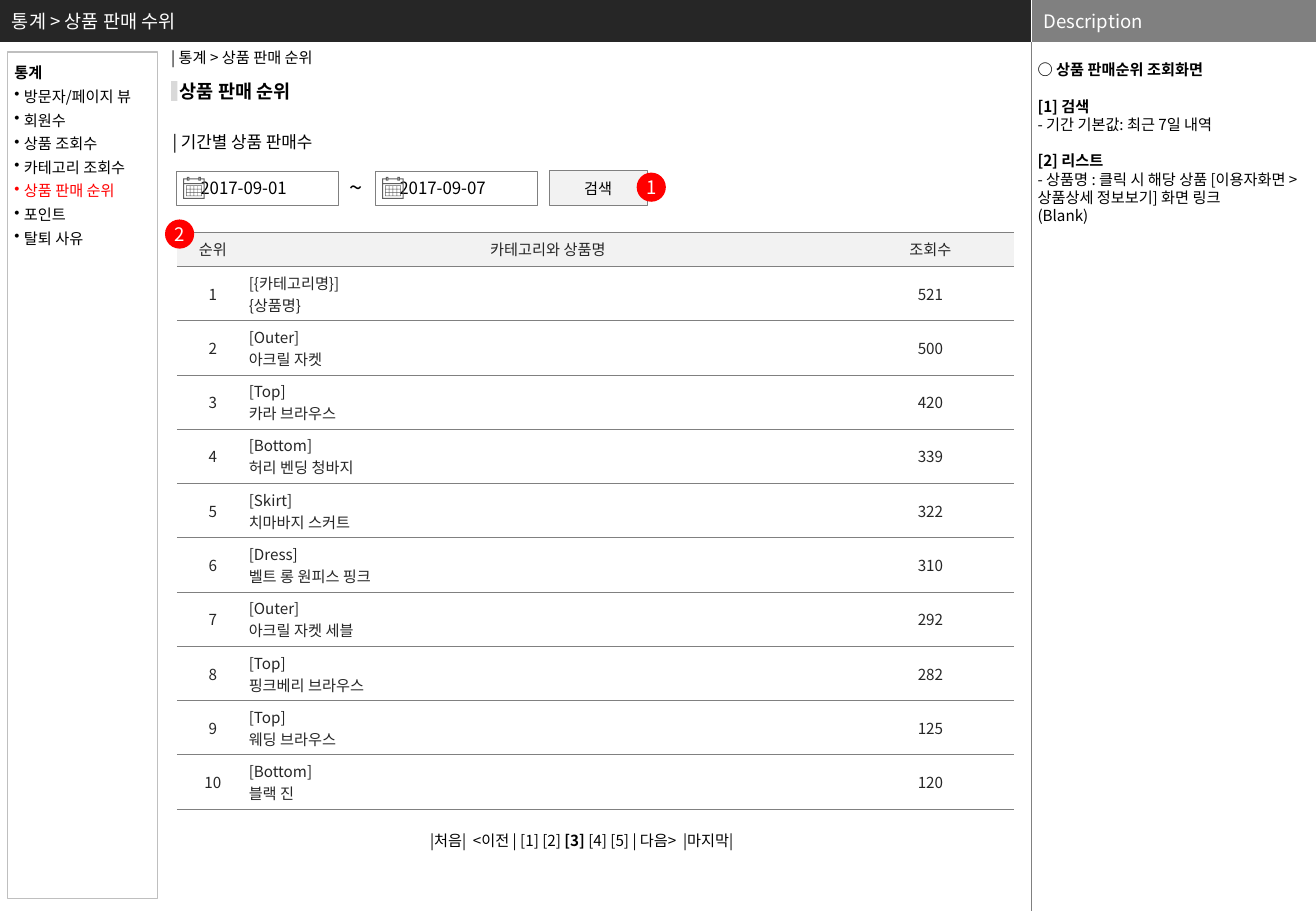
from lxml import etree
from pptx import Presentation
from pptx import util as u
from pptx.dml.color import RGBColor
from pptx.enum import shapes, text
from pptx.oxml import ns

Cm, Pt = u.Cm, u.Pt
FONT = "Noto Sans CJK KR"
BLACK = RGBColor(0x00, 0x00, 0x00)
CHARCOAL = RGBColor(0x26, 0x26, 0x26)
ICON_GRAY = RGBColor(0x5F, 0x5F, 0x5F)
GRAY = RGBColor(0x80, 0x80, 0x80)
SILVER = RGBColor(0xBF, 0xBF, 0xBF)
ACCENT_GRAY = RGBColor(0xD9, 0xD9, 0xD9)
PALE = RGBColor(0xF2, 0xF2, 0xF2)
WHITE = RGBColor(0xFF, 0xFF, 0xFF)
RED = RGBColor(0xFF, 0x00, 0x00)
LEFT, CENTER = text.PP_ALIGN.LEFT, text.PP_ALIGN.CENTER
RECTANGLE, OVAL = shapes.MSO_SHAPE.RECTANGLE, shapes.MSO_SHAPE.OVAL

MENU = ["방문자/페이지 뷰", "회원수", "상품 조회수", "카테고리 조회수",
        "상품 판매 순위", "포인트", "탈퇴 사유"]
CURRENT_MENU = "상품 판매 순위"
DESCRIPTION = [
    ["○ 상품 판매순위 조회화면"],
    ["[1] 검색", "- 기간 기본값: 최근 7일 내역"],
    ["[2] 리스트",
     "- 상품명 : 클릭 시 해당 상품 [이용자화면 >상품상세 정보보기] 화면 링크",
     "(Blank)"],
]
HEADINGS = ["순위", "카테고리와 상품명", "조회수"]
PRODUCTS = [
    ("{카테고리명}", "{상품명}", 521),
    ("Outer", "아크릴 자켓", 500),
    ("Top", "카라 브라우스", 420),
    ("Bottom", "허리 벤딩 청바지", 339),
    ("Skirt", "치마바지 스커트", 322),
    ("Dress", "벨트 롱 원피스 핑크", 310),
    ("Outer", "아크릴 자켓 세블", 292),
    ("Top", "핑크베리 브라우스", 282),
    ("Top", "웨딩 브라우스", 125),
    ("Bottom", "블랙 진", 120),
]


def style_run(run, size, color, bold=False):
    run.font.size = Pt(size)
    run.font.bold = bold
    run.font.color.rgb = color
    run.font.name = FONT
    east_asian = etree.SubElement(run._r.get_or_add_rPr(), ns.qn("a:ea"))
    east_asian.set("typeface", FONT)


def write(frame, content, size=9, color=BLACK, bold=False, align=LEFT):
    frame.text = content
    for paragraph in frame.paragraphs:
        paragraph.alignment = align
        for run in paragraph.runs:
            style_run(run, size, color, bold)


def set_insets(frame, left, top, right, bottom):
    frame.margin_left, frame.margin_top = Cm(left), Cm(top)
    frame.margin_right, frame.margin_bottom = Cm(right), Cm(bottom)


def add_box(slide, kind, left, top, width, height, fill=None, line=None, line_width=0.5):
    shape = slide.shapes.add_shape(kind, Cm(left), Cm(top), Cm(width), Cm(height))
    shape.shadow.inherit = False
    if fill is None:
        shape.fill.background()
    else:
        shape.fill.solid()
        shape.fill.fore_color.rgb = fill
    if line is None:
        shape.line.fill.background()
    else:
        shape.line.color.rgb = line
        shape.line.width = Pt(line_width)
    shape.text_frame.vertical_anchor = text.MSO_ANCHOR.MIDDLE
    return shape


def add_label(slide, left, top, width, height, content, size=9, bold=False, padded=True):
    label = slide.shapes.add_textbox(Cm(left), Cm(top), Cm(width), Cm(height))
    frame = label.text_frame
    frame.word_wrap = False
    frame.auto_size = text.MSO_AUTO_SIZE.SHAPE_TO_FIT_TEXT
    if not padded:
        set_insets(frame, 0, 0, 0, 0)
    write(frame, content, size, bold=bold)
    return label


def add_rule(slide, x, top, bottom, color):
    rule = slide.shapes.add_connector(shapes.MSO_CONNECTOR.STRAIGHT,
                                      Cm(x), Cm(top), Cm(x), Cm(bottom))
    rule.line.color.rgb = color
    rule.line.width = Pt(0.25)
    etree.SubElement(rule._element.spPr, ns.qn("a:effectLst"))


def add_header(slide, left, width, fill, title):
    bar = add_box(slide, RECTANGLE, left, 0, width, 0.88, fill)
    write(bar.text_frame, title, 11, WHITE)


def add_description(slide):
    box = slide.shapes.add_textbox(Cm(21.59), Cm(1.27), Cm(5.94), Cm(17.78))
    frame = box.text_frame
    frame.word_wrap = True
    set_insets(frame, 0.1, 0, 0.1, 0)
    write(frame, "\n".join("\n".join(group) for group in DESCRIPTION))
    for paragraph in frame.paragraphs:
        paragraph.line_spacing = Pt(10.8)
    position = 0
    for group in DESCRIPTION:
        heading = frame.paragraphs[position]
        heading.runs[0].font.bold = True
        if position:
            heading.space_before = Pt(10.8)
        position += len(group)


def add_menu(slide):
    panel = add_box(slide, RECTANGLE, 0.15, 1.09, 3.15, 17.7, line=SILVER, line_width=0.75)
    frame = panel.text_frame
    frame.vertical_anchor = text.MSO_ANCHOR.TOP
    set_insets(frame, 0.15, 0.13, 0, 0.13)
    write(frame, "\n".join(["통계"] + MENU))
    for paragraph in frame.paragraphs:
        paragraph.line_spacing = Pt(14)
    title, *items = frame.paragraphs
    title.runs[0].font.bold = True
    for item in items:
        properties = item._p.get_or_add_pPr()
        properties.set("marL", str(Cm(0.2)))
        properties.set("indent", str(-Cm(0.2)))
        etree.SubElement(properties, ns.qn("a:buChar")).set("char", "•")
        if item.text == CURRENT_MENU:
            item.runs[0].font.color.rgb = RED


def rectangle_points(left, top, right, bottom):
    return [(left, top), (right, top), (right, bottom), (left, bottom)]


def add_calendar(slide, left, top):
    outline = [(0, 3), (8, 3), (8, 0), (13, 0), (13, 3), (32, 3), (32, 0),
               (37, 0), (37, 3), (45, 3), (45, 46), (0, 46)]
    heading = [(2, 5), (8, 5), (8, 8), (13, 8), (13, 5), (32, 5), (32, 8),
               (37, 8), (37, 5), (43, 5), (43, 13), (2, 13)]
    contours = [heading, rectangle_points(2, 15, 43, 44), rectangle_points(6, 18, 39, 40)]
    contours += [rectangle_points(x, 2, x + 1, 6) for x in (10, 34)]
    contours += [rectangle_points(x, y, x + 7, y + 6)
                 for y in range(19, 34, 7) for x in range(7, 32, 8)]
    builder = slide.shapes.build_freeform(*outline[0], scale=Cm(0.01))
    builder.add_line_segments(outline[1:])
    for contour in contours:
        builder.move_to(*contour[0])
        builder.add_line_segments(contour[1:])
    icon = builder.convert_to_shape(Cm(left), Cm(top))
    icon.shadow.inherit = False
    icon.fill.solid()
    icon.fill.fore_color.rgb = ICON_GRAY
    icon.line.fill.background()


def add_date_field(slide, left, date):
    field = add_box(slide, RECTANGLE, left, 3.58, 3.38, 0.71, WHITE, GRAY)
    set_insets(field.text_frame, 0.5, 0.1, 0.1, 0.1)
    write(field.text_frame, date, 10)
    add_calendar(slide, left + 0.14, 3.7)


def add_marker(slide, left, top, number):
    marker = add_box(slide, OVAL, left, top, 0.61, 0.61, RED)
    set_insets(marker.text_frame, 0, 0, 0, 0)
    write(marker.text_frame, number, 11, WHITE, align=CENTER)


def fill_cell(cell, content, fill, align):
    cell.margin_left = cell.margin_right = cell.margin_top = cell.margin_bottom = 0
    cell.vertical_anchor = text.MSO_ANCHOR.MIDDLE
    cell.fill.solid()
    cell.fill.fore_color.rgb = fill
    write(cell.text_frame, content, color=CHARCOAL, align=align)
    properties = cell._tc.get_or_add_tcPr()
    for position, side in enumerate(["lnL", "lnR", "lnT", "lnB"]):
        border = etree.Element(ns.qn(f"a:{side}"))
        properties.insert(position, border)
        if side in ("lnL", "lnR"):
            etree.SubElement(border, ns.qn("a:noFill"))
        else:
            border.set("w", str(Pt(0.5)))
            solid = etree.SubElement(border, ns.qn("a:solidFill"))
            etree.SubElement(solid, ns.qn("a:srgbClr")).set("val", str(GRAY))


def add_ranking(slide):
    rows = [HEADINGS] + [(str(rank), f"[{category}]\n{name}", str(views))
                         for rank, (category, name, views) in enumerate(PRODUCTS, 1)]
    frame = slide.shapes.add_table(len(rows), 3, Cm(3.7), Cm(4.86), Cm(17.5), Cm(12.06))
    table = frame.table
    table.first_row = table.horz_banding = False
    for column, width in zip(table.columns, (1.5, 12.5, 3.5)):
        column.width = Cm(width)
    for index, row in enumerate(rows):
        table.rows[index].height = Cm(11.35) // len(PRODUCTS) if index else Cm(0.71)
        for column, content in enumerate(row):
            align = LEFT if index and column == 1 else CENTER
            fill_cell(table.cell(index, column), content, WHITE if index else PALE, align)


def add_pagination(slide):
    label = add_label(slide, 8.74, 17.25, 7.54, 0.64, "|처음|  <이전 | [1] [2] ")
    paragraph = label.text_frame.paragraphs[0]
    for content, bold in (("[3]", True), (" [4] [5] | 다음>  |마지막|", False)):
        run = paragraph.add_run()
        run.text = content
        style_run(run, 9, BLACK, bold)


def main():
    presentation = Presentation()
    presentation.slide_width, presentation.slide_height = Cm(27.51), Cm(19.05)
    slide = presentation.slides.add_slide(presentation.slide_layouts[6])
    add_header(slide, 0, 21.56, CHARCOAL, "통계 > 상품 판매 수위")
    add_header(slide, 21.56, 5.95, GRAY, "Description")
    add_rule(slide, 21.56, 0, 0.88, WHITE)
    add_rule(slide, 21.56, 0.88, 19.05, GRAY)
    add_description(slide)
    add_label(slide, 3.33, 0.89, 3.94, 0.64, "| 통계 > 상품 판매 순위")
    add_label(slide, 3.76, 1.67, 2.62, 0.48, "상품 판매 순위", 11, bold=True, padded=False)
    add_box(slide, RECTANGLE, 3.58, 1.7, 0.13, 0.41, ACCENT_GRAY)
    add_menu(slide)
    add_label(slide, 3.61, 2.76, 3.3, 0.43, "| 기간별 상품 판매수", 10, padded=False)
    add_date_field(slide, 3.69, "2017-09-01")
    add_date_field(slide, 7.85, "2017-09-07")
    add_label(slide, 7.06, 3.5, 0.86, 0.86, "~", 14)
    button = add_box(slide, RECTANGLE, 11.48, 3.57, 2.05, 0.73, PALE, GRAY)
    write(button.text_frame, "검색", align=CENTER)
    add_marker(slide, 13.31, 3.61, "1")
    add_ranking(slide)
    add_marker(slide, 3.45, 4.59, "2")
    add_pagination(slide)
    presentation.save("out.pptx")


if __name__ == "__main__":
    main()
